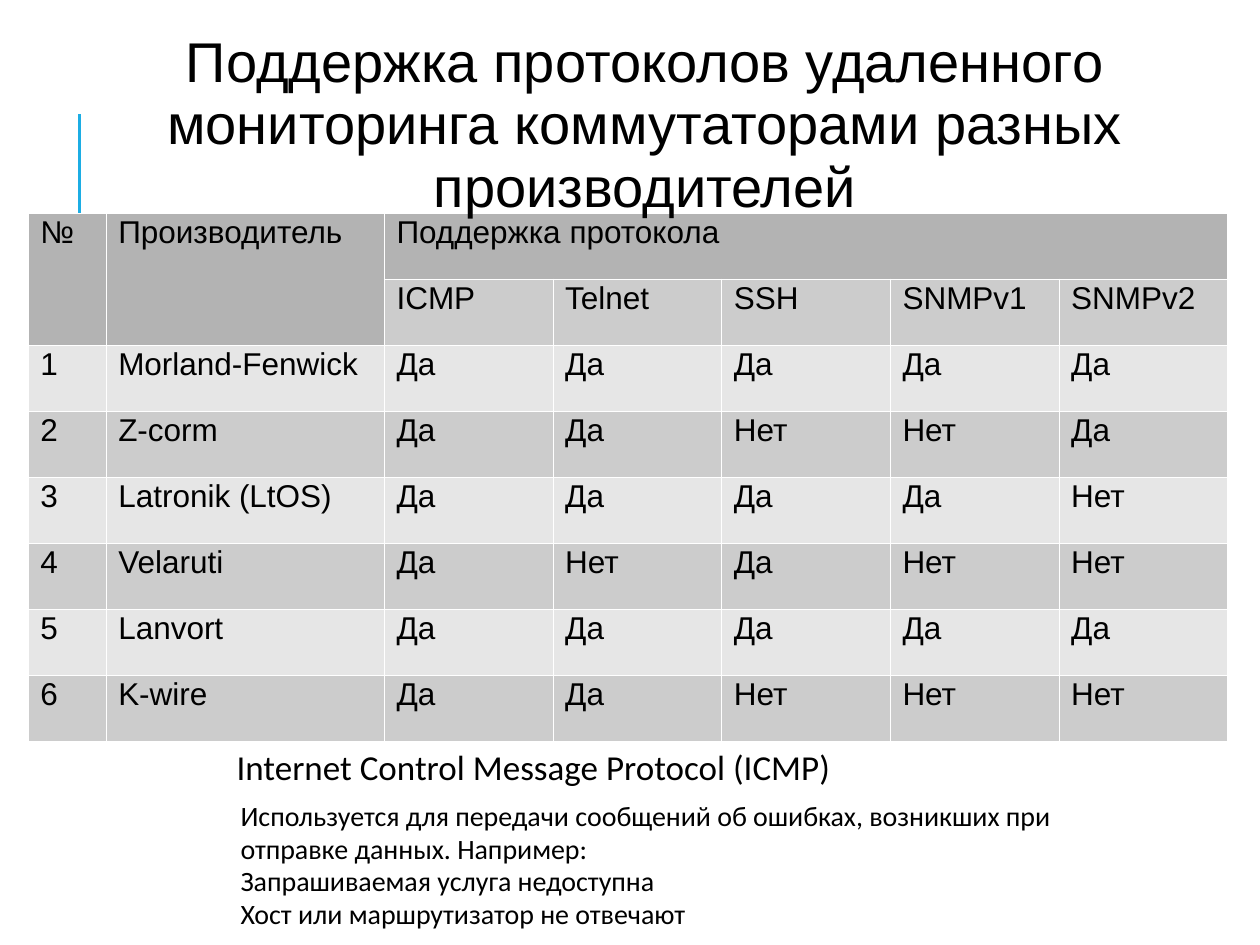
from dataclasses import dataclass

from lxml.etree import SubElement
from pptx import Presentation
from pptx.dml.color import RGBColor
from pptx.enum.shapes import MSO_CONNECTOR
from pptx.enum.text import MSO_ANCHOR, MSO_AUTO_SIZE, PP_ALIGN
from pptx.oxml.ns import qn
from pptx.util import Cm, Pt

COLORS = {
    "accent": "1CADE4",
    "text": "000000",
    "border": "FFFFFF",
    "header": "B3B3B3",
    "dark_band": "CCCCCC",
    "light_band": "E6E6E6",
}
BORDER_WIDTH = Pt(0.06)
COLUMN_WIDTHS = [1.57, 5.61] + [3.4] * 5
ROW_HEIGHT = 1.33
PROTOCOLS = ["ICMP", "Telnet", "SSH", "SNMPv1", "SNMPv2"]


@dataclass
class Vendor:
    name: str
    support: str  # one sign per protocol: + supported, - not supported


@dataclass
class Note:
    left: float
    top: float
    width: float
    height: float
    size: int
    line_spacing: float
    lines: list[str]


VENDORS = [
    Vendor("Morland-Fenwick", "+++++"),
    Vendor("Z-corm", "++--+"),
    Vendor("Latronik (LtOS)", "++++-"),
    Vendor("Velaruti", "+-+--"),
    Vendor("Lanvort", "+++++"),
    Vendor("K-wire", "++---"),
]

NOTES = [
    Note(4.6, 16, 17, 3.2, 16, 0.98, [
        "Используется для передачи сообщений об ошибках, возникших при "
        "отправке данных. Например:",
        "Запрашиваемая услуга недоступна",
        "Хост или маршрутизатор не отвечают",
    ]),
    Note(4.52, 15.01, 23.88, 1.07, 20, 0.88,
         ["Internet Control Message Protocol (ICMP)"]),
]


def rgb(role: str) -> RGBColor:
    return RGBColor.from_string(COLORS[role])


def style_paragraph(paragraph, font_name: str, size: int, spacing: float) -> None:
    paragraph.line_spacing = spacing
    paragraph.font.name = font_name
    paragraph.font.size = Pt(size)
    paragraph.font.color.rgb = rgb("text")


def add_title(slide, text: str) -> None:
    title = slide.shapes.title
    title.left, title.top, title.width, title.height = Cm(2.39), Cm(0.41), Cm(21.23), Cm(4.19)
    frame = title.text_frame
    frame.text = text
    frame.word_wrap = True
    frame.auto_size = MSO_AUTO_SIZE.NONE
    frame.vertical_anchor = MSO_ANCHOR.MIDDLE
    frame.margin_top = Cm(0.2)
    paragraph = frame.paragraphs[0]
    paragraph.alignment = PP_ALIGN.CENTER
    paragraph.space_before = Pt(0)
    style_paragraph(paragraph, "Arial", 32, 0.93)


def add_accent_line(slide):
    line = slide.shapes.add_connector(
        MSO_CONNECTOR.STRAIGHT, Cm(1.6), Cm(4.85), Cm(1.6), Cm(2.29))
    line.line.color.rgb = rgb("accent")
    line.line.width = Pt(1.5)
    SubElement(line._element.spPr, qn("a:effectLst"))
    return line


def style_cell(cell, text: str, fill_role: str) -> None:
    properties = cell._tc.get_or_add_tcPr()
    for side in ("a:lnL", "a:lnR", "a:lnT", "a:lnB"):
        border = SubElement(properties, qn(side), w=str(int(BORDER_WIDTH)))
        fill = SubElement(border, qn("a:solidFill"))
        SubElement(fill, qn("a:srgbClr"), val=COLORS["border"])
    cell.fill.solid()
    cell.fill.fore_color.rgb = rgb(fill_role)
    cell.text = text
    style_paragraph(cell.text_frame.paragraphs[0], "Arial", 18, 0.87)


def add_support_table(slide, vendors: list[Vendor]):
    answers = {"+": "Да", "-": "Нет"}
    rows = [
        ["№", "Производитель", "Поддержка протокола", "", "", "", ""],
        ["", "", *PROTOCOLS],
    ]
    for number, vendor in enumerate(vendors, start=1):
        rows.append([str(number), vendor.name, *(answers[s] for s in vendor.support)])

    table_frame = slide.shapes.add_table(
        len(rows), len(COLUMN_WIDTHS), Cm(0.56), Cm(4.29),
        Cm(sum(COLUMN_WIDTHS)), Cm(ROW_HEIGHT * len(rows)))
    table = table_frame.table
    table.first_row = False
    table.horz_banding = False
    for column, width in zip(table.columns, COLUMN_WIDTHS):
        column.width = Cm(width)
    for r, texts in enumerate(rows):
        table.rows[r].height = Cm(ROW_HEIGHT)
        for c, text in enumerate(texts):
            is_header = r == 0 or (r == 1 and c < 2)
            band = "dark_band" if r % 2 else "light_band"
            style_cell(table.cell(r, c), text, "header" if is_header else band)

    # Header spans
    for c in (0, 1):
        table.cell(0, c).merge(table.cell(1, c))
    table.cell(0, 2).merge(table.cell(0, len(COLUMN_WIDTHS) - 1))
    return table_frame


def add_note(slide, note: Note) -> None:
    box = slide.shapes.add_textbox(
        Cm(note.left), Cm(note.top), Cm(note.width), Cm(note.height))
    frame = box.text_frame
    frame.word_wrap = True
    frame.text = "\n".join(note.lines)
    for paragraph in frame.paragraphs:
        style_paragraph(paragraph, "Calibri", note.size, note.line_spacing)


def main() -> None:
    presentation = Presentation()
    presentation.slide_width, presentation.slide_height = Cm(25.4), Cm(19.05)
    slide = presentation.slides.add_slide(presentation.slide_layouts[5])

    add_title(slide, "Поддержка протоколов удаленного мониторинга "
                     "коммутаторами разных производителей")

    # The accent line and the table lie behind the title
    accent_line = add_accent_line(slide)
    support_table = add_support_table(slide, VENDORS)
    for backdrop in (accent_line, support_table):
        slide.shapes.title._element.addprevious(backdrop._element)

    # Protocol explanation under the table
    for note in NOTES:
        add_note(slide, note)

    presentation.save("out.pptx")


if __name__ == "__main__":
    main()
